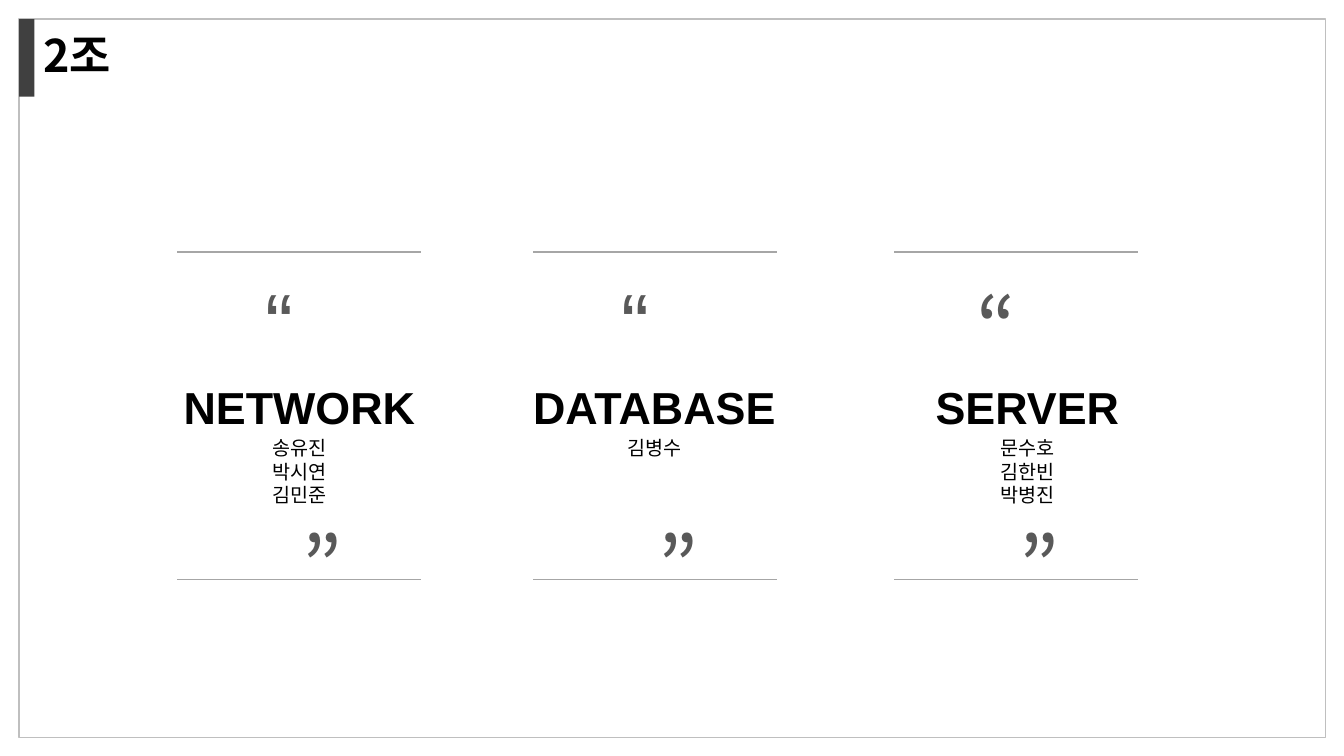
import pptx
import pptx.util
import pptx.dml.color
import pptx.enum.shapes
import pptx.enum.text
import pptx.oxml.ns
import lxml.etree

TITLE = "2조"
TEAMS = [
    {"name": "NETWORK", "people": ["송유진", "박시연", "김민준"],
     "left": 1.76, "shift": -0.1, "open": "Arial"},
    {"name": "DATABASE", "people": ["김병수"],
     "left": 5.29, "shift": -0.11, "open": "Arial"},
    {"name": "SERVER", "people": ["문수호", "김한빈", "박병진"],
     "left": 8.87, "shift": 0.01, "open": "Noto Sans CJK KR"},
]
THEME = {
    "latin": "Arial", "hangul": "Noto Sans CJK KR",
    "ink": "000000", "quote": "595959", "rule": "A6A6A6",
    "frame": "BFBFBF", "bar": "404040",
    "head": 32, "body": 14, "mark": 60,
}
LEAD = {"title": 41, "body": 16.7, "Arial": 72.7, "Noto Sans CJK KR": 77}
RULES = (2.5, 5.75)
WIDE = 2.42

Inches, Pt = pptx.util.Inches, pptx.util.Pt
qn = pptx.oxml.ns.qn
CENTER = pptx.enum.text.PP_ALIGN.CENTER


def color(key):
    return pptx.dml.color.RGBColor.from_string(THEME[key])


def style(para, face, size, ink, bold=False, lead=None):
    if lead:
        para.line_spacing = Pt(lead)
    for run in para.runs:
        font = run.font
        font.name, font.size, font.bold = face, Pt(size), bold
        font.color.rgb = color(ink)
        asian = lxml.etree.Element(qn("a:ea"), typeface=face)
        font._element.find(qn("a:latin")).addnext(asian)


def text(slide, left, top, width, height, lines):
    box = slide.shapes.add_textbox(*map(Inches, (left, top, width, height)))
    frame = box.text_frame
    frame.word_wrap = True
    frame.text = "\n".join(lines)
    return frame.paragraphs


def block(slide, left, top, width, height):
    shape = slide.shapes.add_shape(
        pptx.enum.shapes.MSO_SHAPE.RECTANGLE,
        *map(Inches, (left, top, width, height)))
    shape.shadow.inherit = False
    return shape


def rule(slide, left, top):
    line = slide.shapes.add_connector(
        pptx.enum.shapes.MSO_CONNECTOR.STRAIGHT,
        Inches(left), Inches(top), Inches(left + WIDE), Inches(top))
    line.line.color.rgb = color("rule")
    line.line.width = Pt(0.75)
    lxml.etree.SubElement(line._element.spPr, qn("a:effectLst"))


def outline(run):
    line = lxml.etree.Element(qn("a:ln"), w=str(Pt(0.75)))
    fill = lxml.etree.SubElement(line, qn("a:solidFill"))
    tint = lxml.etree.SubElement(fill, qn("a:srgbClr"), val=THEME["quote"])
    lxml.etree.SubElement(tint, qn("a:alpha"), val="30000")
    run.font._element.insert(0, line)


def quote(slide, mark, left, top, face):
    para = text(slide, left, top, 4.32, 1.11, [mark])[0]
    para.alignment = CENTER
    style(para, face, THEME["mark"], "quote", lead=LEAD[face])
    if face == THEME["hangul"]:
        outline(para.runs[0])


def team(slide, item):
    left = item["left"]
    for top in RULES:
        rule(slide, left, top)
    quote(slide, "“", left - 1.15, 2.61, item["open"])
    quote(slide, "”", left - 0.72, 4.99, THEME["hangul"])
    head, *names = text(slide, left + item["shift"], 3.72, 2.62, 1.35,
                        [item["name"], *item["people"]])
    head.alignment = CENTER
    style(head, THEME["latin"], THEME["head"], "ink", True)
    names[0].space_before = Pt(2)
    for para in names:
        para.alignment = CENTER
        style(para, THEME["hangul"], THEME["body"], "ink", lead=LEAD["body"])


def main():
    deck = pptx.Presentation()
    deck.slide_width, deck.slide_height = Inches(13.33), Inches(7.5)
    slide = deck.slides.add_slide(deck.slide_layouts[6])

    frame = block(slide, 0.19, 0.19, 12.96, 7.13)
    frame.fill.background()
    frame.line.color.rgb = color("frame")
    frame.line.width = Pt(1)
    bar = block(slide, 0.19, 0.19, 0.15, 0.77)
    bar.fill.solid()
    bar.fill.fore_color.rgb = color("bar")
    bar.line.fill.background()

    title = text(slide, 0.33, 0.19, 5.31, 0.98, [TITLE])[0]
    style(title, THEME["hangul"], THEME["head"], "ink", True, LEAD["title"])
    for item in TEAMS:
        team(slide, item)
    deck.save("out.pptx")


if __name__ == "__main__":
    main()
